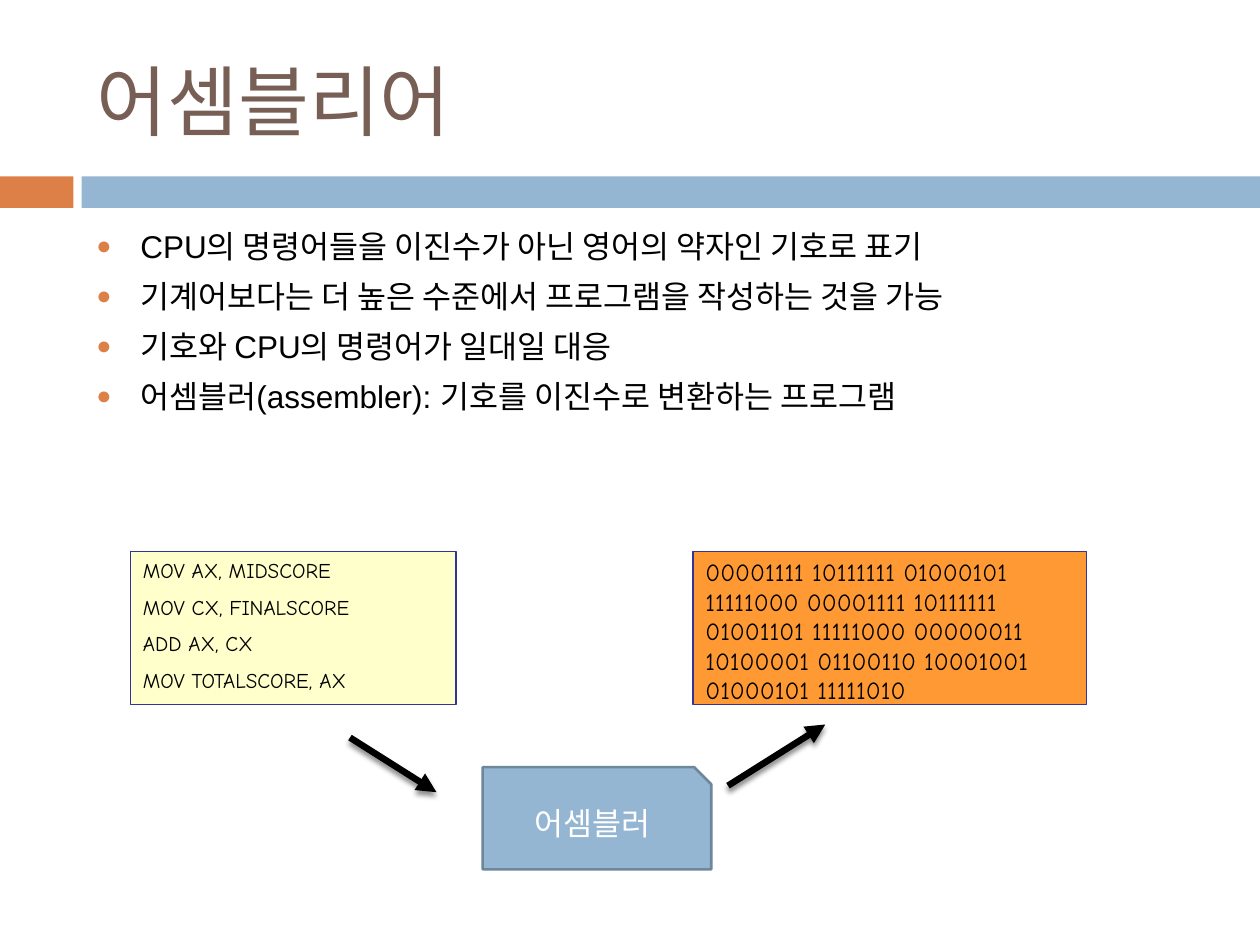
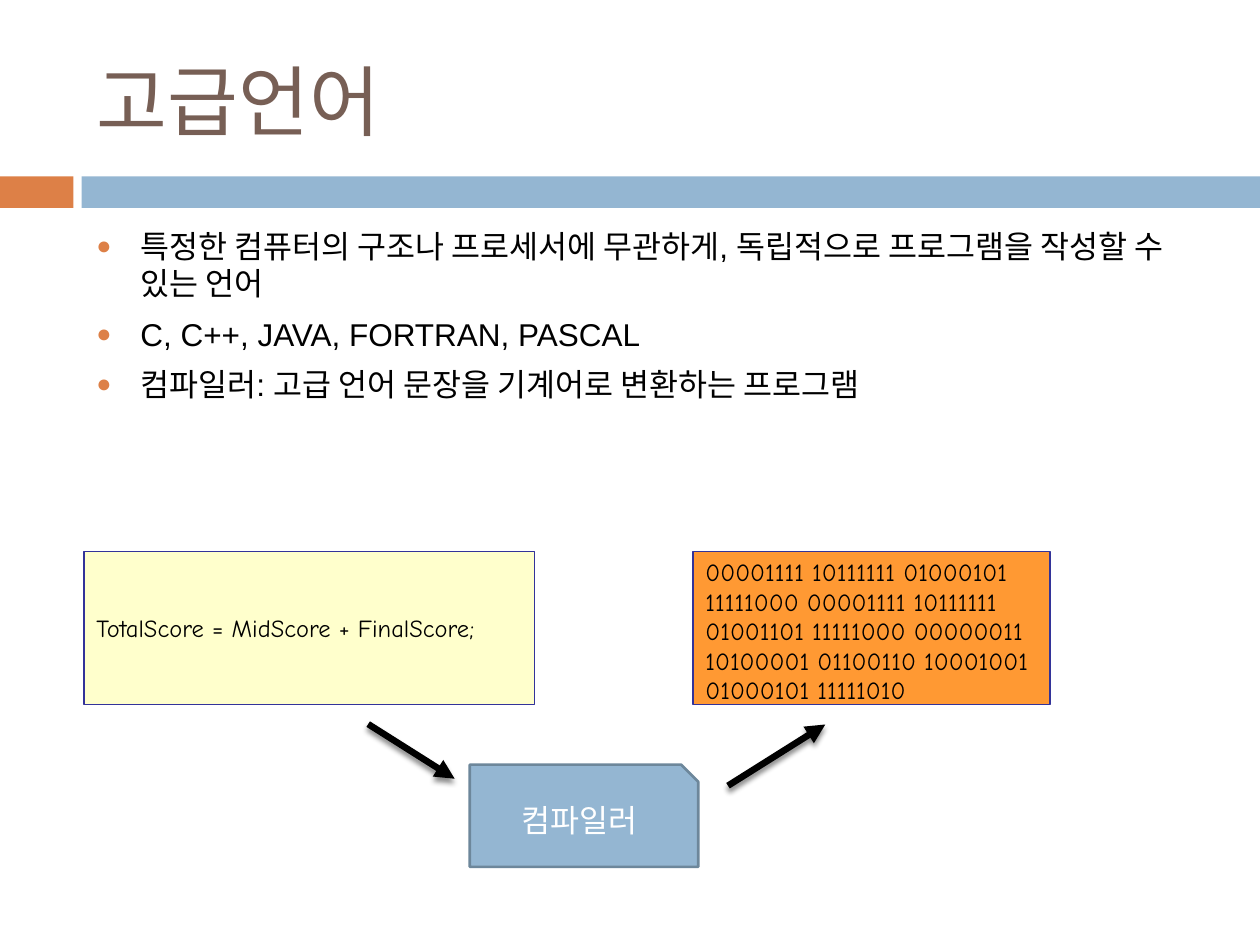
import pptx
import pptx.dml.color
import pptx.enum.shapes
import pptx.enum.text
import pptx.oxml
import pptx.oxml.ns
import pptx.util

Pt = pptx.util.Pt
SHAPE = pptx.enum.shapes.MSO_SHAPE
ANCHOR = pptx.enum.text.MSO_ANCHOR
ALIGN = pptx.enum.text.PP_ALIGN
NS = pptx.oxml.ns.nsdecls("a")

THEME = {
    "orange": "DD8047", "blue": "94B6D2", "blue_edge": "6D879B", "brown": "775F55",
    "cream": "FFFFCC", "amber": "FF9933", "navy": "333399", "black": "000000", "white": "FFFFFF",
    "title": {"name": "Cabin", "size": Pt(44)},
    "body": {"name": "Arial", "size": Pt(18)},
    "tool": {"name": "Cabin", "size": Pt(18)},
    "code": {"name": "Comic Neue", "size": Pt(14)},
    "code_small": {"name": "Comic Neue", "size": Pt(12)},
}

MACHINE_CODE = ["00001111 10111111 01000101 11111000 00001111 10111111 01001101 11111000 "
                "00000011 10100001 01100110 10001001 01000101 11111010"]

SLIDES = [
    {
        "title": "어셈블리어",
        "bullets": [
            "CPU의 명령어들을 이진수가 아닌 영어의 약자인 기호로 표기",
            "기계어보다는 더 높은 수준에서 프로그램을 작성하는 것을 가능",
            "기호와 CPU의 명령어가 일대일 대응",
            "어셈블러(assembler): 기호를 이진수로 변환하는 프로그램",
        ],
        "source": ["MOV AX, MIDSCORE", "MOV CX, FINALSCORE", "ADD AX, CX", "MOV TOTALSCORE, AX"],
        "source_font": "code_small", "source_anchor": ANCHOR.TOP,
        "source_x": 74.6, "source_w": 186, "machine_w": 225,
        "tool": "어셈블러", "tool_at": (275.8, 438.4), "arrow_in": (200, 421.5),
    },
    {
        "title": "고급언어",
        "bullets": [
            "특정한 컴퓨터의 구조나 프로세서에 무관하게, 독립적으로 프로그램을 작성할 수 있는 언어",
            "C, C++, JAVA, FORTRAN, PASCAL",
            "컴파일러: 고급 언어 문장을 기계어로 변환하는 프로그램",
        ],
        "source": ["TotalScore = MidScore + FinalScore;"],
        "source_font": "code", "source_anchor": ANCHOR.MIDDLE,
        "source_x": 48, "source_w": 257.4, "machine_w": 204,
        "tool": "컴파일러", "tool_at": (268.4, 437), "arrow_in": (210.4, 413.8),
    },
]

WIDTH, HEIGHT = 720, 540
MARGIN, TEXT_W = 48, 642
BAND_Y, BAND_H = 100.8, 18
BANDS = [(0, 42, "orange"), (46.6, WIDTH - 46.6, "blue")]
BOX_Y, BOX_H, MACHINE_X = 315, 87.4, 396
TOOL_W, TOOL_H = 130.6, 58.4
ARROW_IN_SPAN = (49.4, 31.2)
ARROW_OUT = (416, 449, 471.6, 414)


def rgb(key):
    return pptx.dml.color.RGBColor.from_string(THEME[key])


def write(tf, lines, font, color, anchor=ANCHOR.TOP, align=ALIGN.LEFT, gap=0, bullet=False):
    settings = {"word_wrap": True, "auto_size": pptx.enum.text.MSO_AUTO_SIZE.NONE,
                "vertical_anchor": anchor}
    for name, value in settings.items():
        setattr(tf, name, value)
    for i, line in enumerate(lines):
        p = tf.add_paragraph() if i else tf.paragraphs[0]
        p.alignment = align
        p.space_before = Pt(gap if i else 0)
        if bullet:
            add_bullet(p)
        r = p.add_run()
        r.text = line
        for name, value in THEME[font].items():
            setattr(r.font, name, value)
        r.font.color.rgb = rgb(color)


def add_bullet(p):
    pPr = p._p.get_or_add_pPr()
    pPr.set("marL", str(Pt(25.2)))
    pPr.set("indent", str(Pt(-25.2)))
    for xml in (f'<a:buClr {NS}><a:srgbClr val="{THEME["orange"]}"/></a:buClr>',
                f'<a:buSzPct {NS} val="80000"/>',
                f'<a:buFont {NS} typeface="Arial"/>',
                f'<a:buChar {NS} char="●"/>'):
        pPr.append(pptx.oxml.parse_xml(xml))


def add_box(slide, kind, x, y, w, h, fill, line=None, line_w=0.75):
    sp = slide.shapes.add_shape(kind, Pt(x), Pt(y), Pt(w), Pt(h))
    sp.shadow.inherit = False
    sp.fill.solid()
    sp.fill.fore_color.rgb = rgb(fill)
    if line:
        sp.line.color.rgb = rgb(line)
        sp.line.width = Pt(line_w)
    else:
        sp.line.fill.background()
    return sp


def add_arrow(slide, *ends):
    arrow = slide.shapes.add_connector(pptx.enum.shapes.MSO_CONNECTOR.STRAIGHT, *map(Pt, ends))
    arrow.line.color.rgb = rgb("black")
    arrow.line.width = Pt(3.75)
    arrow.line._get_or_add_ln().append(pptx.oxml.parse_xml(f'<a:tailEnd {NS} type="triangle"/>'))
    arrow._element.spPr.append(pptx.oxml.parse_xml(
        f'<a:effectLst {NS}><a:outerShdw blurRad="{Pt(3)}" dist="{Pt(2.4)}" dir="5400000" '
        f'rotWithShape="0"><a:srgbClr val="{THEME["black"]}"><a:alpha val="45000"/></a:srgbClr>'
        '</a:outerShdw></a:effectLst>'))


def add_frame(slide, title):
    for x, w, fill in BANDS:
        add_box(slide, SHAPE.RECTANGLE, x, BAND_Y, w, BAND_H, fill)
    sp = slide.shapes.title
    for name, value in {"left": MARGIN, "top": 18, "width": TEXT_W, "height": 78}.items():
        setattr(sp, name, Pt(value))
    write(sp.text_frame, [title], "title", "brown", ANCHOR.MIDDLE)


def add_diagram(slide, data):
    source = add_box(slide, SHAPE.RECTANGLE, data["source_x"], BOX_Y, data["source_w"], BOX_H,
                     "cream", "navy")
    write(source.text_frame, data["source"], data["source_font"], "black",
          data["source_anchor"], gap=6.6)
    machine = add_box(slide, SHAPE.RECTANGLE, MACHINE_X, BOX_Y, data["machine_w"], BOX_H,
                      "amber", "navy")
    write(machine.text_frame, MACHINE_CODE, "code", "black")
    tool = add_box(slide, SHAPE.SNIP_1_RECTANGLE, *data["tool_at"], TOOL_W, TOOL_H,
                   "blue", "blue_edge", 1.5)
    write(tool.text_frame, [data["tool"]], "tool", "white", ANCHOR.MIDDLE, ALIGN.CENTER)
    x, y = data["arrow_in"]
    add_arrow(slide, x, y, x + ARROW_IN_SPAN[0], y + ARROW_IN_SPAN[1])
    add_arrow(slide, *ARROW_OUT)


def main():
    prs = pptx.Presentation()
    prs.slide_width, prs.slide_height = Pt(WIDTH), Pt(HEIGHT)
    for data in SLIDES:
        slide = prs.slides.add_slide(prs.slide_layouts[5])
        add_frame(slide, data["title"])
        body = slide.shapes.add_textbox(Pt(MARGIN), Pt(126), Pt(TEXT_W), Pt(354))
        write(body.text_frame, data["bullets"], "body", "black", gap=7, bullet=True)
        add_diagram(slide, data)
    prs.save("out.pptx")


if __name__ == "__main__":
    main()
